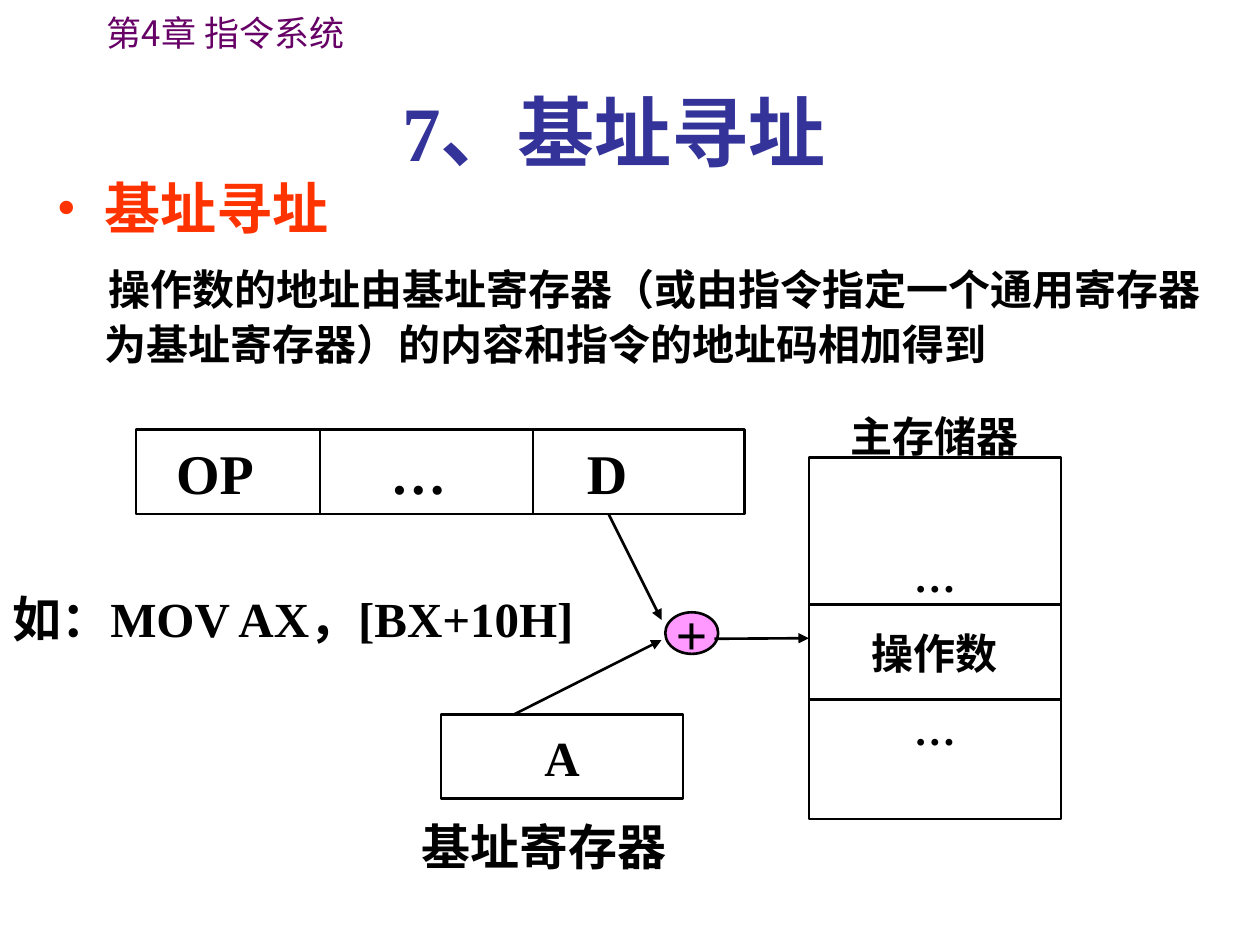
from lxml.etree import SubElement
from pptx import Presentation
from pptx.dml.color import RGBColor
from pptx.enum.shapes import MSO_CONNECTOR, MSO_SHAPE
from pptx.enum.text import MSO_ANCHOR, PP_ALIGN
from pptx.oxml.ns import qn
from pptx.util import Inches, Pt

COLORS = {
    "black": "000000",
    "white": "FFFFFF",
    "chapter": "660066",
    "title": "333399",
    "accent": "FF3300",
    "adder": "FF99FF",
}
SERIF = "Times New Roman"
SANS = "DejaVu Sans"
CJK = "Noto Sans CJK SC"
EAST_ASIAN = {SERIF: SANS, SANS: SANS, CJK: CJK}
LEFT, CENTER = PP_ALIGN.LEFT, PP_ALIGN.CENTER


class SlideBuilder:
    line_width = Pt(1.5)

    def __init__(self, slide):
        self.slide = slide

    def color(self, name):
        return RGBColor.from_string(COLORS[name])

    def apply(self, target, values):
        for name, value in values.items():
            setattr(target, name, value)

    def run(self, paragraph, text, size, font=SERIF, color="black", bold=True):
        run = paragraph.add_run()
        run.text = text
        self.apply(run.font, {"name": font, "size": Pt(size), "bold": bold})
        run.font.color.rgb = self.color(color)
        SubElement(run._r.get_or_add_rPr(), qn("a:ea"), typeface=EAST_ASIAN[font])

    def indent(self, paragraph, margin, first):
        properties = paragraph._p.get_or_add_pPr()
        properties.set("marL", str(Inches(margin)))
        properties.set("indent", str(Inches(first)))

    def bullet(self, paragraph, color):
        properties = paragraph._p.get_or_add_pPr()
        holder = SubElement(properties, qn("a:buClr"))
        SubElement(holder, qn("a:srgbClr"), val=COLORS[color])
        SubElement(properties, qn("a:buFont"), typeface=SERIF)
        SubElement(properties, qn("a:buChar"), char="•")

    def tabs(self, paragraph, stops):
        tab_list = SubElement(paragraph._p.get_or_add_pPr(), qn("a:tabLst"))
        for stop in stops:
            SubElement(tab_list, qn("a:tab"), pos=str(Inches(stop)), algn="l")

    def title(self, box, parts):
        shape = self.slide.shapes.title
        bounds = [Inches(value) for value in box]
        self.apply(shape, dict(zip(("left", "top", "width", "height"), bounds)))
        shape.text_frame.vertical_anchor = MSO_ANCHOR.MIDDLE
        paragraph = shape.text_frame.paragraphs[0]
        paragraph.alignment = CENTER
        for text, font in parts:
            self.run(paragraph, text, 44, font, "title")

    def text_box(self, box):
        shape = self.slide.shapes.add_textbox(*map(Inches, box))
        shape.text_frame.word_wrap = True
        return shape.text_frame

    def label(self, box, text, size, align=LEFT, **style):
        paragraph = self.text_box(box).paragraphs[0]
        paragraph.alignment = align
        self.run(paragraph, text, size, **style)

    def block(self, box, text="", size=28, kind=MSO_SHAPE.RECTANGLE,
              fill="white", align=CENTER, stops=()):
        shape = self.slide.shapes.add_shape(kind, *map(Inches, box))
        shape.shadow.inherit = False
        shape.fill.solid()
        shape.fill.fore_color.rgb = self.color(fill)
        shape.line.color.rgb = self.color("black")
        shape.line.width = self.line_width
        frame = shape.text_frame
        self.apply(frame, {"word_wrap": bool(stops), "vertical_anchor": MSO_ANCHOR.MIDDLE})
        paragraph = frame.paragraphs[0]
        paragraph.alignment = align
        if stops:
            self.tabs(paragraph, stops)
        if text:
            self.run(paragraph, text, size)
        return shape

    def line(self, start, end, arrow=False):
        points = map(Inches, (*start, *end))
        connector = self.slide.shapes.add_connector(MSO_CONNECTOR.STRAIGHT, *points)
        connector.line.color.rgb = self.color("black")
        connector.line.width = self.line_width
        if arrow:
            SubElement(connector.line._get_or_add_ln(), qn("a:tailEnd"), type="triangle")
        SubElement(connector._element.spPr, qn("a:effectLst"))
        return connector


def add_explanation(builder):
    frame = builder.text_box((0.35, 1.33, 9.29, 1.89))
    heading = frame.paragraphs[0]
    builder.indent(heading, 0.38, -0.38)
    builder.bullet(heading, "accent")
    builder.run(heading, "基址寻址", 32, CJK, "accent")
    body = frame.add_paragraph()
    builder.indent(body, 0.38, 0.03)
    builder.apply(body, {"line_spacing": 1.1, "space_before": Pt(10)})
    builder.run(body, "操作数的地址由基址寄存器（或由指令指定一个通用寄存器"
                      "为基址寄存器）的内容和指令的地址码相加得到", 24, CJK)


def add_instruction(builder):
    top, height = 3.41, 0.67
    builder.block((1.08, top, 4.83, height), "\tOP\t…\tD", 32,
                  align=LEFT, stops=(0.22, 1.92, 3.48))
    for x in (2.54, 4.23):
        builder.line((x, top), (x, top + height))


def add_memory(builder):
    left, width = 6.42, 2
    memory = builder.block((left, 3.63, width, 2.87))
    for y in (4.8, 5.55):
        builder.line((left, y), (left + width, y))
    frame = builder.text_box((left, 4.32, width, 1.67))
    for index, (text, font) in enumerate((("…", SERIF), ("操作数", SANS), ("…", SERIF))):
        paragraph = frame.add_paragraph() if index else frame.paragraphs[0]
        paragraph.alignment = CENTER
        if index:
            paragraph.space_before = Pt(15)
        builder.run(paragraph, text, 24, font)
    builder.label((6.08, 3.21, 2.67, 0.5), "主存储器", 24, CENTER, font=SANS)
    return memory


def main():
    presentation = Presentation()
    presentation.slide_width, presentation.slide_height = Inches(10), Inches(7.5)
    builder = SlideBuilder(presentation.slides.add_slide(presentation.slide_layouts[5]))

    builder.label((0.75, 0.04, 3.07, 0.44), "第4章 指令系统", 20,
                  font=CJK, color="chapter", bold=False)
    builder.title((0, 0.54, 9.75, 1), (("7、", SERIF), ("基址寻址", CJK)))
    add_explanation(builder)
    add_instruction(builder)
    memory = add_memory(builder)

    builder.label((3.25, 6.43, 2.92, 0.57), "基址寄存器", 28)
    builder.block((3.5, 5.67, 1.92, 0.67), "A")
    builder.line((4.83, 4.08), (5.25, 4.92), arrow=True)
    builder.line((4.08, 5.67), (5.25, 5.08), arrow=True)
    builder.block((5.28, 4.86, 0.42, 0.33), "+", 32, MSO_SHAPE.OVAL, "adder")
    result = builder.line((5.67, 5.07), (6.42, 5.07), arrow=True)
    result.end_connect(memory, 1)
    builder.label((0, 4.62, 5.42, 0.57), "如：MOV AX，[BX+10H]", 28)

    presentation.save("out.pptx")


if __name__ == "__main__":
    main()
